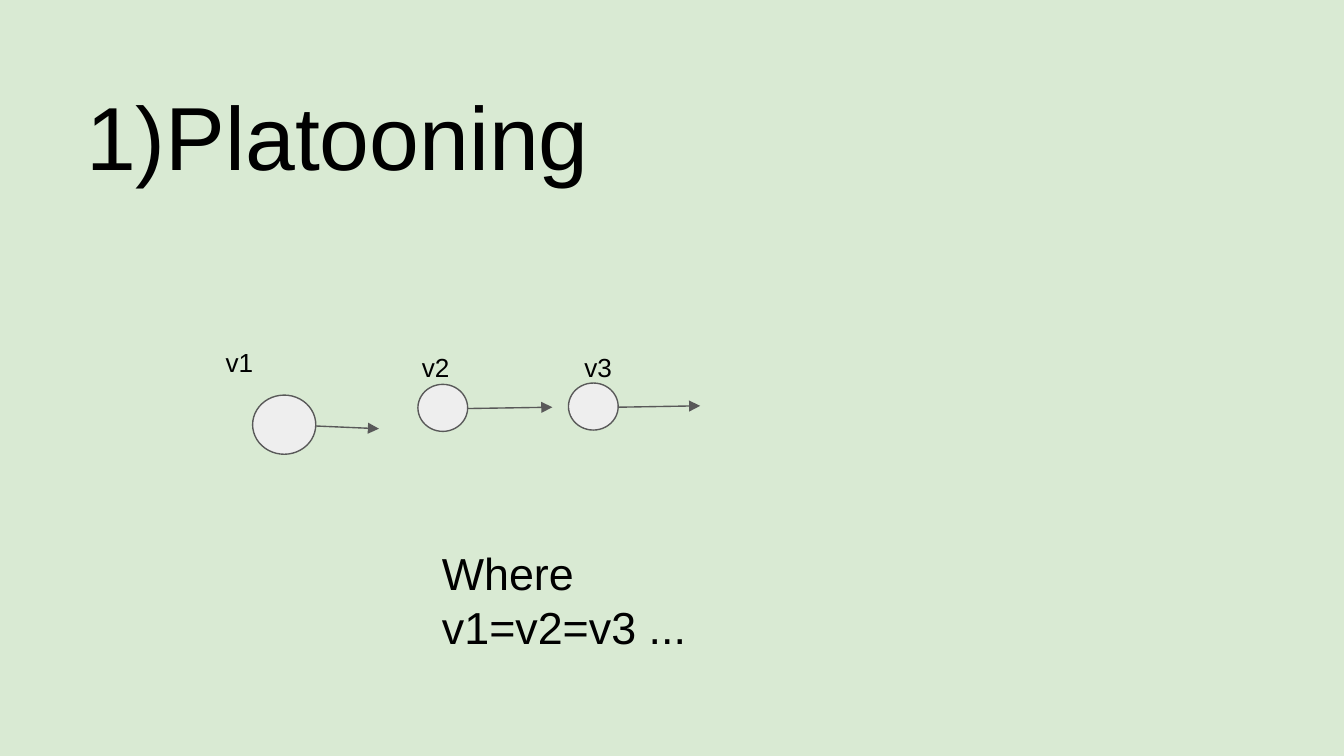
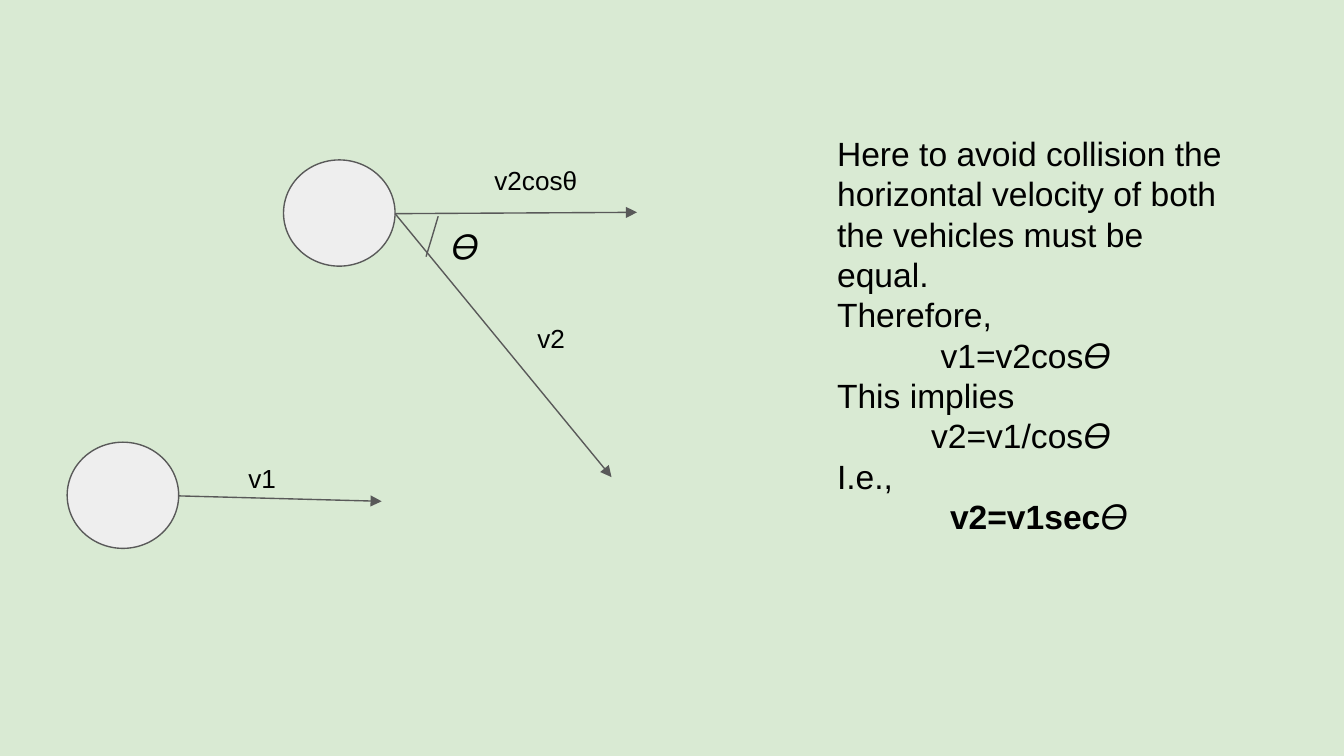
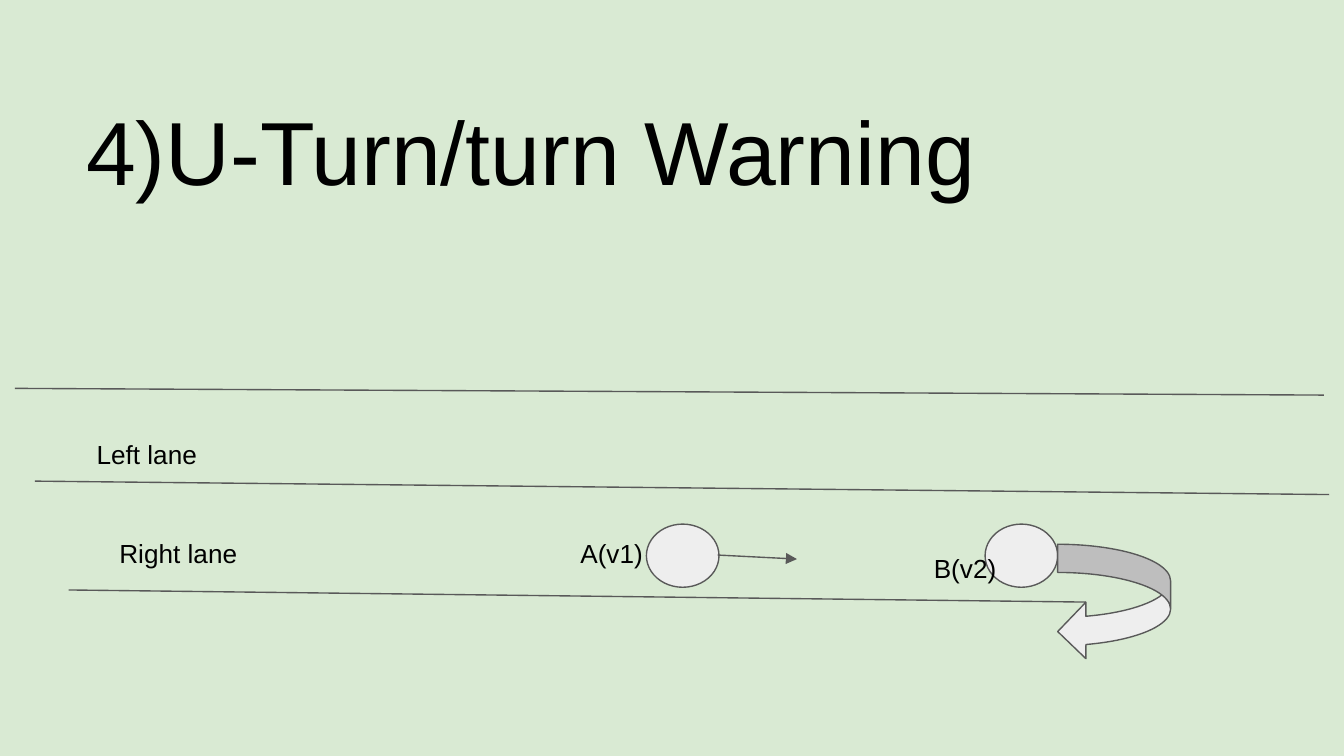
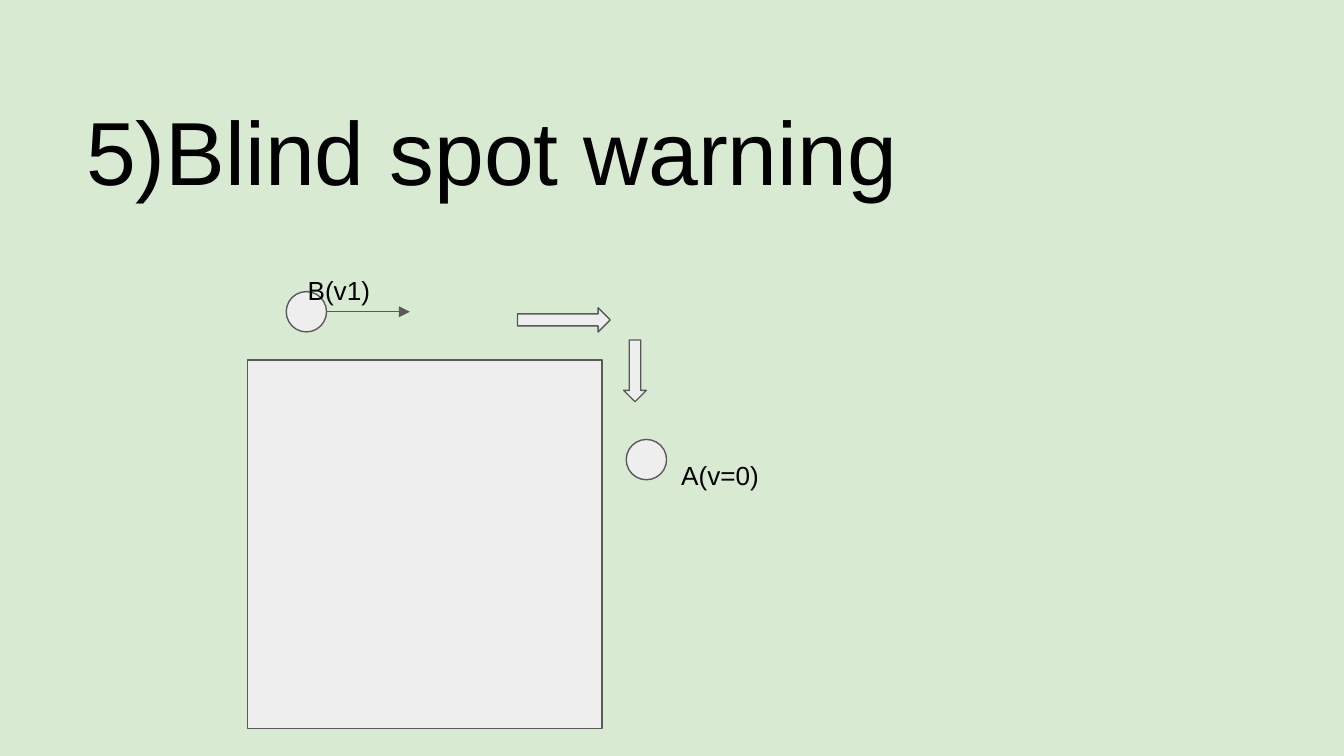
"""Build four slides on vehicle platooning and road warnings."""
from lxml import etree
from pptx import Presentation
from pptx.dml.color import RGBColor
from pptx.enum.shapes import MSO_CONNECTOR, MSO_SHAPE
from pptx.enum.text import MSO_ANCHOR, MSO_AUTO_SIZE, PP_ALIGN
from pptx.oxml.ns import qn
from pptx.util import Inches, Pt

OVAL = MSO_SHAPE.OVAL
BOX = MSO_SHAPE.RECTANGLE
RIGHT = MSO_SHAPE.RIGHT_ARROW
DOWN = MSO_SHAPE.DOWN_ARROW
CURVE = MSO_SHAPE.CURVED_LEFT_ARROW
LINE = MSO_CONNECTOR.STRAIGHT
MID = MSO_ANCHOR.MIDDLE
LEFT = PP_ALIGN.LEFT
FIXED = MSO_AUTO_SIZE.NONE

ink = RGBColor.from_string
GREEN, GREY, EDGE, BLACK = "D9EAD3", "EEEEEE", "595959", "000000"
FONT = "Arial"
SMALL, BODY, LARGE, HEAD = 14, 18, 24, 48
WIDE, HIGH = 10, 5.625
COLS = 100
UNIT = WIDE / COLS
STEP = 0.7


def grid(*nums):
    """Turn columns and rows of the grid into lengths."""
    return [Inches(num * UNIT) for num in nums]


def write(frame, text, size, indent=0, bold=False):
    """Add one paragraph of text to a frame."""
    para = frame.add_paragraph() if frame.text else frame.paragraphs[0]
    para.alignment = LEFT
    if indent:
        para._p.get_or_add_pPr().set("marL", str(grid(indent)[0]))
    run = para.add_run()
    run.text = text
    run.font.name = FONT
    run.font.size = Pt(size)
    run.font.bold = bold
    run.font.color.rgb = ink(BLACK)


scenes = [
    {
        "title": ("1)Platooning", 10.2),
        "shapes": [
            (OVAL, 31.1, 28.6, 3.7, 3.5),
            (OVAL, 42.3, 28.5, 3.7, 3.5),
            (OVAL, 18.8, 29.4, 4.7, 4.4),
        ],
        "arrows": [
            (34.8, 30.4, 41.1, 30.3),
            (46, 30.3, 52.1, 30.2),
            (23.5, 31.7, 28.2, 31.9),
        ],
        "texts": [
            (15.8, 24.8, 6.4, 2.1, SMALL, ["v1"]),
            (30.4, 25.5, 6.4, 1.3, SMALL, ["v2"]),
            (42.5, 25.5, 4.7, 1.3, SMALL, ["v3"]),
            (31.9, 39.6, 36.3, 10.2, LARGE, ["Where", "v1=v2=v3 ..."]),
        ],
    },
    {
        "shapes": [
            (OVAL, 5, 32.9, 8.3, 7.9),
            (OVAL, 21.1, 11.9, 8.3, 7.9),
        ],
        "arrows": [
            (13.3, 36.9, 28.4, 37.3),
            (29.4, 15.9, 45.5, 35.5),
            (29.4, 15.9, 47.4, 15.8),
        ],
        "texts": [
            (32.6, 15.8, 11.6, 2.1, BODY, ["𝛳"]),
            (17.5, 33.4, 6.2, 2.1, SMALL, ["v1"]),
            (39, 23, 5.2, 3, SMALL, ["v2"]),
            (35.8, 11.2, 10.7, 4.5, SMALL, ["v2cosθ"]),
        ],
    },
    {
        "title": ("4)U-Turn/turn Warning", 12.4),
        "shapes": [
            (OVAL, 48.1, 39, 5.4, 4.7),
            (OVAL, 73.3, 39, 5.4, 4.7),
            (CURVE, 78.7, 40.5, 8.4, 8.6),
        ],
        "arrows": [(53.4, 41.3, 59.3, 41.6)],
        "lanes": [
            (1.1, 28.9, 98.5, 29.4),
            (2.6, 35.8, 98.9, 36.8),
            (5.1, 43.9, 80.8, 44.8),
        ],
        "texts": [
            (6.2, 31.6, 15.1, 2.4, SMALL, ["Left lane"]),
            (7.9, 39, 11.6, 2.4, SMALL, ["Right lane"]),
            (42.2, 39, 8.4, 2.4, SMALL, ["A(v1)"]),
            (68.5, 40.1, 7.7, 2.4, SMALL, ["B(v2)"]),
        ],
    },
    {
        "title": ("5)Blind spot warning", 12.4),
        "shapes": [
            (OVAL, 46.6, 32.7, 3, 3),
            (OVAL, 21.3, 21.7, 3, 3),
            (BOX, 18.4, 26.8, 26.4, 27.4),
            (DOWN, 46.4, 25.3, 1.7, 4.6),
            (RIGHT, 38.5, 22.9, 6.9, 1.8),
        ],
        "arrows": [(24.3, 23.2, 30.5, 23.2)],
        "texts": [
            (49.7, 33.2, 50.3, 9.4, SMALL, ["A(v=0)"]),
            (21.9, 19.4, 78.1, 9.4, SMALL, ["B(v1)"]),
        ],
    },
]

deck = Presentation()
deck.slide_width, deck.slide_height = Inches(WIDE), Inches(HIGH)
back = deck.slide_master.background.fill
back.solid()
back.fore_color.rgb = ink(GREEN)
plain, titled = deck.slide_layouts[6], deck.slide_layouts[5]

for scene in scenes:
    slide = deck.slides.add_slide(titled if "title" in scene else plain)
    frames = []

    if "title" in scene:
        words, tall = scene["title"]
        head = slide.shapes.title
        head.left, head.top, head.width, head.height = grid(5.4, 4.9, 69.6, tall)
        head.text_frame.vertical_anchor = MID
        frames.append((head.text_frame, HEAD, [words]))

    for kind, *place in scene["shapes"]:
        shape = slide.shapes.add_shape(kind, *grid(*place))
        shape.shadow.inherit = False
        shape.fill.solid()
        shape.fill.fore_color.rgb = ink(GREY)
        shape.line.color.rgb = ink(EDGE)
        shape.line.width = Pt(0.75)

    arrows = scene["arrows"]
    for ends in arrows + scene.get("lanes", []):
        link = slide.shapes.add_connector(LINE, *grid(*ends))
        link.line.color.rgb = ink(EDGE)
        link.line.width = Pt(0.75)
        if ends in arrows:
            tip = etree.SubElement(link.line._get_or_add_ln(), qn("a:tailEnd"))
            tip.set("type", "triangle")
        etree.SubElement(link._element.spPr, qn("a:effectLst"))

    for *place, size, lines in scene["texts"]:
        note = slide.shapes.add_textbox(*grid(*place))
        frames.append((note.text_frame, size, lines))

    for frame, size, lines in frames:
        frame.word_wrap = True
        frame.auto_size = FIXED
        (frame.margin_left, frame.margin_top,
         frame.margin_right, frame.margin_bottom) = grid(1, 1, 1, 1)
        for text in lines:
            write(frame, text, size)

slide = deck.slides[1]
pen = slide.shapes.build_freeform(*grid(32.6, 16.1))
pen.add_line_segments([grid(32.1, 17.8), grid(31.7, 19.1)], close=False)
angle = pen.convert_to_shape()
angle.shadow.inherit = False
angle.fill.background()
angle.line.color.rgb = ink(EDGE)
angle.line.width = Pt(0.75)

proof = slide.shapes.add_textbox(*grid(61.3, 8.9, 30.9, 42.1)).text_frame
proof.word_wrap = True
(proof.margin_left, proof.margin_top,
 proof.margin_right, proof.margin_bottom) = grid(1, 1, 1, 1)
for text, steps, bold in [
    ("Here to avoid collision the horizontal velocity of both "
     "the vehicles must be equal.", 0, False),
    ("Therefore,", 0, False),
    ("v1=v2cos𝛳", 11, False),
    ("This implies", 0, False),
    ("v2=v1/cos𝛳", 10, False),
    ("I.e.,", 0, False),
    ("v2=v1sec𝛳", 12, True),
]:
    write(proof, text, BODY, steps * STEP, bold)

deck.save("out.pptx")
